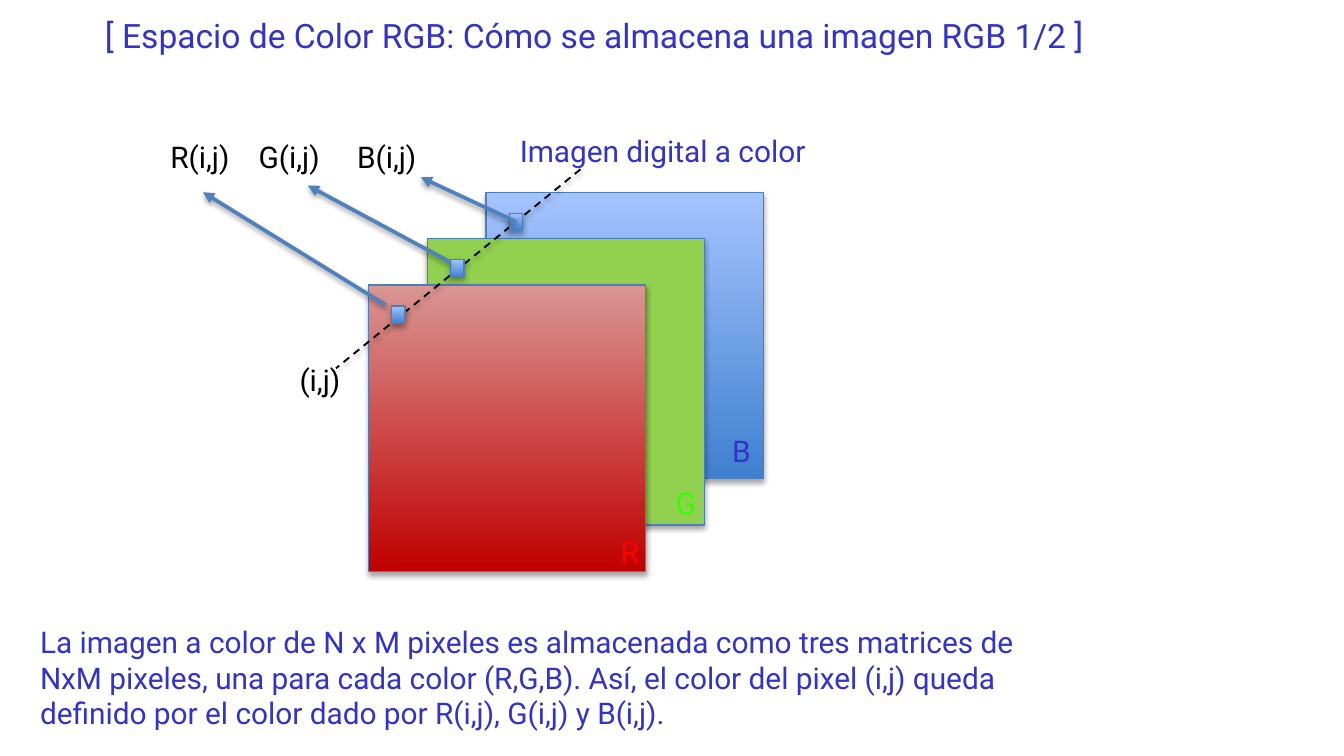
from lxml import etree
from pptx import Presentation
from pptx.dml.color import RGBColor
from pptx.enum import dml, shapes, text
from pptx.oxml import parse_xml
from pptx.oxml.ns import nsdecls, qn
from pptx.util import Pt

INDIGO = RGBColor(0x33, 0x33, 0xCC)
BLACK = RGBColor(0, 0, 0)
WHITE = RGBColor(0xFF, 0xFF, 0xFF)
RED = RGBColor(0xFF, 0, 0)
LIME = RGBColor(0x33, 0xFF, 0)
OUTLINE = RGBColor(0x4B, 0x7E, 0xBC)
ARROW = RGBColor(0x4F, 0x81, 0xBD)
GREEN_PLANE = RGBColor(0x92, 0xD0, 0x50)
BLUE_GRADIENT = (RGBColor(0x3F, 0x80, 0xCE), RGBColor(0xA4, 0xC4, 0xFF))
RED_GRADIENT = (RGBColor(0xC0, 0, 0), RGBColor(0xD9, 0x96, 0x94))


def set_attributes(target, values):
    for name, value in values.items():
        setattr(target, name, value)


def write_text(shape, words, color, size=16, tabs=()):
    """Fill a shape with one left-aligned paragraph, with optional tab stops."""
    set_attributes(shape.text_frame, {
        "text": words,
        "word_wrap": True,
        "auto_size": text.MSO_AUTO_SIZE.NONE,
        "vertical_anchor": text.MSO_ANCHOR.TOP,
    })
    paragraph = shape.text_frame.paragraphs[0]
    paragraph.alignment = text.PP_ALIGN.LEFT
    if tabs:
        tab_list = etree.SubElement(paragraph._p.get_or_add_pPr(), qn("a:tabLst"))
        for position in tabs:
            etree.SubElement(tab_list, qn("a:tab"), pos=str(Pt(position)), algn="l")
    set_attributes(paragraph.font, {"name": "Roboto", "size": Pt(size)})
    paragraph.font.color.rgb = color


def add_label(slide, box, words, color, tabs=()):
    shape = slide.shapes.add_textbox(*map(Pt, box))
    write_text(shape, words, color, tabs=tabs)
    return shape


def add_shadow(properties, opacity, distance):
    """Put a soft downward shadow on a shape or connector."""
    for old in properties.findall(qn("a:effectLst")):
        properties.remove(old)
    properties.append(parse_xml(
        f'<a:effectLst {nsdecls("a")}><a:outerShdw blurRad="{Pt(3.1)}" '
        f'dist="{Pt(distance)}" dir="5400000" rotWithShape="0">'
        f'<a:srgbClr val="000000"><a:alpha val="{opacity * 1000}"/></a:srgbClr>'
        '</a:outerShdw></a:effectLst>'))


def add_square(slide, box, colors):
    """Draw an outlined rectangle with a plain or bottom-to-top gradient fill."""
    shape = slide.shapes.add_shape(shapes.MSO_SHAPE.RECTANGLE, *map(Pt, box))
    if isinstance(colors, RGBColor):
        shape.fill.solid()
        shape.fill.fore_color.rgb = colors
    else:
        shape.fill.gradient()
        shape.fill.gradient_angle = 90
        for stop, color, position in zip(shape.fill.gradient_stops, colors, (0, 1)):
            stop.color.rgb = color
            stop.position = position
    shape.line.color.rgb = OUTLINE
    shape.line.width = Pt(0.75)
    add_shadow(shape._element.spPr, 35, 1.8)


def add_line(slide, start, end, color, width, dashed=False, arrow=False):
    connector = slide.shapes.add_connector(
        shapes.MSO_CONNECTOR.STRAIGHT, *map(Pt, (*start, *end)))
    connector.line.color.rgb = color
    connector.line.width = Pt(width)
    if dashed:
        connector.line.dash_style = dml.MSO_LINE.DASH
    if arrow:
        etree.SubElement(connector.line._get_or_add_ln(), qn("a:tailEnd"), type="triangle")
    add_shadow(connector._element.spPr, 38, 1.6)


def add_title(slide, box):
    title = slide.shapes.title
    set_attributes(title, dict(zip(("left", "top", "width", "height"), map(Pt, box))))
    write_text(title, "[ Espacio de Color RGB: Cómo se almacena una imagen RGB 1/2 ]",
               INDIGO, size=18)


def add_planes(slide, box):
    """Draw the three stacked colour planes, the pixel (i,j) and its values."""
    left, top, width, height = box

    def at(x, y):
        return left + x, top + y

    # Caption behind the planes
    caption = add_label(slide, (*at(187.4, 0.7), 172.8, 26.6),
                        "Imagen digital a color", INDIGO)
    caption.fill.solid()
    caption.fill.fore_color.rgb = WHITE

    # Planes from back to front: fill, letter, letter colour, letter offset
    planes = (
        (BLUE_GRADIENT, "B", INDIGO, (124.8, 125.2)),
        (GREEN_PLANE, "G", LIME, (126, 128.2)),
        (RED_GRADIENT, "R", RED, (128, 129.6)),
    )
    corners = [at(176.4 - 31.5 * i, 36 + 24.8 * i) for i in range(len(planes))]
    for (x, y), (colors, letter, color, (dx, dy)) in zip(corners, planes):
        add_square(slide, (x, y, 148.5, 153.5), colors)
        add_label(slide, (x + dx, y + dy, 18.7, 26.6), letter, color)

    # Line through the pixel in every plane
    add_line(slide, at(227, 23.7), at(96, 130.3), BLACK, 1, dashed=True)
    for x, y in corners:
        add_square(slide, (x + 12.5, y + 11.3, 7.2, 9.4), BLUE_GRADIENT)

    # Pixel position and values
    add_label(slide, (*at(69.4, 123), 43.2, 26.6), "(i,j)", BLACK)
    add_label(slide, (*at(0.2, 3.6), 198, 26.6), "R(i,j)\tG(i,j)\tB(i,j)", BLACK,
              tabs=(47.3, 100))
    for start, end in (
        ((122.6, 96.4), (24.7, 36)),
        ((157.2, 73.4), (80.9, 32.4)),
        ((192.5, 51.8), (141.4, 28)),
    ):
        add_line(slide, at(*start), at(*end), ARROW, 2, arrow=True)


def add_explanation(slide, box):
    shape = add_label(
        slide, box,
        "La imagen a color de N x M pixeles es almacenada como tres matrices de "
        "NxM pixeles, una para cada color (R,G,B). Así, el color del pixel (i,j) queda "
        "definido por el color dado por R(i,j), G(i,j) y B(i,j).", INDIGO)
    shape.fill.solid()
    shape.fill.fore_color.rgb = WHITE


def main():
    presentation = Presentation()
    set_attributes(presentation, {"slide_width": Pt(720), "slide_height": Pt(405)})
    slide = presentation.slides.add_slide(
        presentation.slide_layouts.get_by_name("Title Only"))
    add_title(slide, (49, 4.3, 545, 29))
    add_planes(slide, (84, 67, 360, 240))
    add_explanation(slide, (14.4, 330.5, 545, 65.5))
    presentation.save("out.pptx")


if __name__ == "__main__":
    main()
